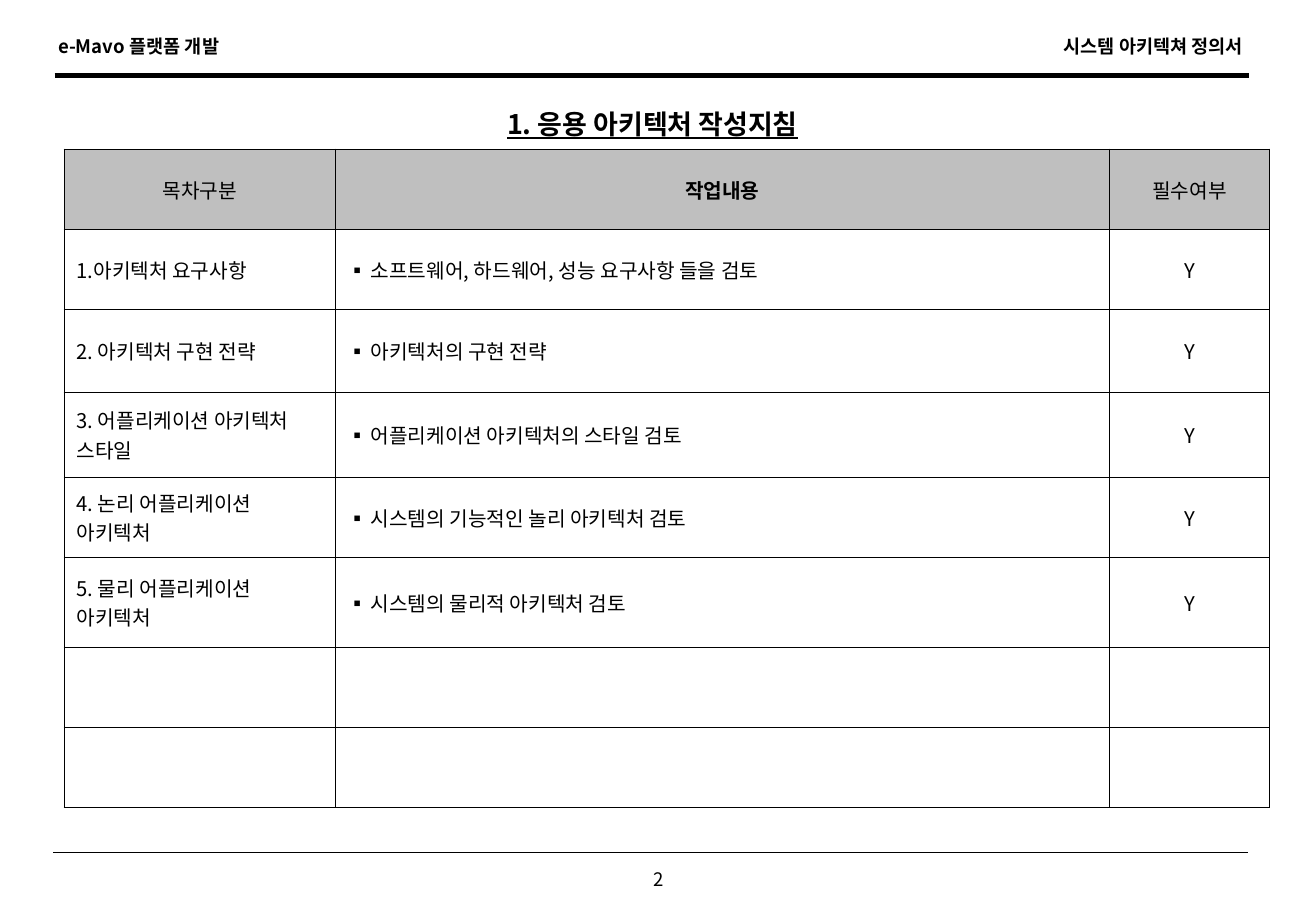
from lxml.etree import SubElement
from pptx import Presentation
from pptx.dml.color import RGBColor
from pptx.enum.shapes import MSO_CONNECTOR as CONN
from pptx.enum.text import MSO_ANCHOR as ANCHOR, MSO_AUTO_SIZE as AUTO, PP_ALIGN as ALIGN
from pptx.oxml.ns import qn
from pptx.util import Inches, Pt

FONT = "Noto Sans CJK KR"
COLORS = {"ink": "000000", "header": "BFBFBF"}
WIDTH, HEIGHT = 10.83, 7.5
TITLE = "1. 응용 아키텍처 작성지침"
TITLE_BOX = (0.52, 0.83, 9.7, 0.37)
LABELS = [
    ("e-Mavo 플랫폼 개발", (0.38, 0.24, 1.7, 0.29), ALIGN.LEFT, True),
    ("시스템 아키텍쳐 정의서", (8.48, 0.24, 1.85, 0.29), ALIGN.RIGHT, True),
    ("2", (5.21, 7.1, 0.43, 0.29), ALIGN.CENTER, False),
]
RULES = [(0.45, 0.62, 2.75), (0.44, 7.02, 0.75)]
RULE_LENGTH = 9.83
TABLE_AT = (0.53, 1.23)
COLS = [2.23, 6.37, 1.32]
ROWS = [0.66, 0.66, 0.68, 0.7, 0.66, 0.74, 0.66, 0.66]
HEADER = ("목차구분", "작업내용", "필수여부")
GUIDE = [
    ("1.아키텍처 요구사항", "소프트웨어, 하드웨어, 성능 요구사항 들을 검토", "Y"),
    ("2. 아키텍처 구현 전략", "아키텍처의 구현 전략", "Y"),
    ("3. 어플리케이션 아키텍처 스타일", "어플리케이션 아키텍처의 스타일 검토", "Y"),
    ("4. 논리 어플리케이션 아키텍처", "시스템의 기능적인 놀리 아키텍처 검토", "Y"),
    ("5. 물리 어플리케이션 아키텍처", "시스템의 물리적 아키텍처 검토", "Y"),
]


def rgb(name):
    return RGBColor.from_string(COLORS[name])


def write(tf, text, size=12, bold=False, underline=False, align=ALIGN.LEFT, before=0, bullet=None):
    tf.word_wrap = True
    p = tf.paragraphs[0]
    p.alignment = align
    p.space_before = Pt(before)
    if bullet:
        pPr = p._p.get_or_add_pPr()
        pPr.set("marL", str(Inches(0.19)))
        pPr.set("indent", str(-Inches(0.19)))
        SubElement(pPr, qn("a:buFont"), typeface=FONT)
        SubElement(pPr, qn("a:buChar"), char=bullet)
    r = p.add_run()
    r.text = text
    r.font.size, r.font.bold, r.font.underline = Pt(size), bold, underline
    r.font.color.rgb = rgb("ink")
    r.font.name = FONT
    SubElement(r._r.get_or_add_rPr(), qn("a:ea"), typeface=FONT)


def add_borders(cell):
    tcPr = cell._tc.get_or_add_tcPr()
    for side in ("lnL", "lnR", "lnT", "lnB"):
        ln = SubElement(tcPr, qn(f"a:{side}"), w=str(Pt(1)))
        fill = SubElement(ln, qn("a:solidFill"))
        SubElement(fill, qn("a:srgbClr"), val=COLORS["ink"])


def add_rule(slide, x, y, weight):
    line = slide.shapes.add_connector(
        CONN.STRAIGHT, Inches(x), Inches(y), Inches(x + RULE_LENGTH), Inches(y))
    line.line.color.rgb = rgb("ink")
    line.line.width = Pt(weight)
    SubElement(line._element.spPr, qn("a:effectLst"))


def add_guide(slide):
    size = (sum(COLS), sum(ROWS))
    frame = slide.shapes.add_table(len(ROWS), len(COLS), *map(Inches, TABLE_AT + size))
    table = frame.table
    table.horz_banding = False
    for col, width in zip(table.columns, COLS):
        col.width = Inches(width)
    for row, height in zip(table.rows, ROWS):
        row.height = Inches(height)
    content = [HEADER] + GUIDE
    for i in range(len(ROWS)):
        for j in range(len(COLS)):
            cell = table.cell(i, j)
            cell.vertical_anchor = ANCHOR.MIDDLE
            add_borders(cell)
            if i == 0:
                cell.fill.solid()
                cell.fill.fore_color.rgb = rgb("header")
            else:
                cell.fill.background()
            if i < len(content):
                write(cell.text_frame, content[i][j],
                      bold=i == 0 and j == 1,
                      align=ALIGN.CENTER if i == 0 or j == 2 else ALIGN.LEFT,
                      before=2.4 if i > 1 and j < 2 else 0,
                      bullet="▪" if i > 0 and j == 1 else None)


def main():
    prs = Presentation()
    prs.slide_width, prs.slide_height = Inches(WIDTH), Inches(HEIGHT)
    slide = prs.slides.add_slide(prs.slide_layouts[5])
    for rule in RULES:
        add_rule(slide, *rule)
    for text, box, align, bold in LABELS:
        sp = slide.shapes.add_textbox(*map(Inches, box))
        write(sp.text_frame, text, size=11, bold=bold, align=align)
    title = slide.shapes.title
    title.left, title.top, title.width, title.height = map(Inches, TITLE_BOX)
    title.text_frame.auto_size = AUTO.NONE
    title.text_frame.vertical_anchor = ANCHOR.MIDDLE
    write(title.text_frame, TITLE, size=16, bold=True, underline=True, align=ALIGN.CENTER)
    add_guide(slide)
    prs.save("out.pptx")


if __name__ == "__main__":
    main()
